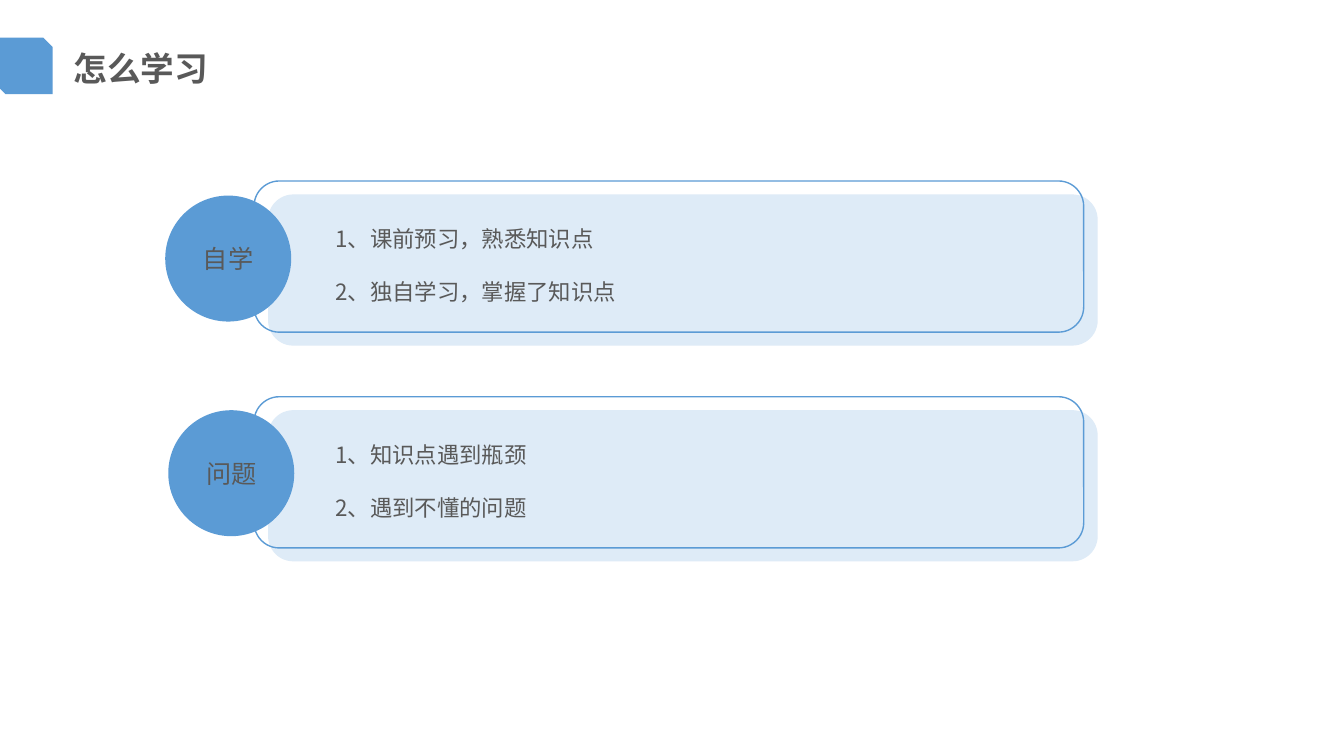
import pptx
import pptx.util
import pptx.dml.color
import pptx.enum.shapes
import pptx.enum.text
import pptx.oxml.ns
import lxml.etree

Pt = pptx.util.Pt
SHAPE = pptx.enum.shapes.MSO_SHAPE
ALIGN = pptx.enum.text.PP_ALIGN
ANCHOR = pptx.enum.text.MSO_ANCHOR

# Content
TITLE = "怎么学习"
CARDS = [
    {"label": "自学", "circle": (118, 139.7),
     "points": ["1、课前预习，熟悉知识点", "2、独自学习，掌握了知识点"]},
    {"label": "问题", "circle": (120.2, 293),
     "points": ["1、知识点遇到瓶颈", "2、遇到不懂的问题"]},
]

THEME = {
    "font": "Noto Sans CJK SC",
    "blue": "5B9BD5", "pale": "DEEBF7", "text": "595959",
    "title": 24, "label": 18, "body": 16,
}

# Layout
CARD_LEFT, CARD_TOP, CARD_STEP = 181.5, 129.3, 154.1
CARD_SIZE = (592.6, 108)
SHADE_SHIFT = (10, 9.6)
CIRCLE = 90
POINTS_LEFT, POINTS_DROP = 232.6, 26.2
POINTS_SIZE = (340.6, 91.4)


def color(name):
    return pptx.dml.color.RGBColor.from_string(THEME[name])


def add_shape(page, kind, left, top, width, height, fill=None, line=None):
    shape = page.shapes.add_shape(kind, Pt(left), Pt(top), Pt(width), Pt(height))
    shape.shadow.inherit = False
    if fill:
        shape.fill.solid()
        shape.fill.fore_color.rgb = color(fill)
    else:
        shape.fill.background()
    if line:
        shape.line.color.rgb = color(line)
        shape.line.width = Pt(1)
    else:
        shape.line.fill.background()
    return shape


def write(frame, lines, size, align, bold=False, spacing=None, gap=0):
    for index, line in enumerate(lines):
        para = frame.paragraphs[0] if index == 0 else frame.add_paragraph()
        para.alignment = align
        para.line_spacing = spacing
        para.space_before = Pt(gap if index else 0)
        span = para.add_run()
        span.text = line
        span.font.name = THEME["font"]
        span.font.size = Pt(THEME[size])
        span.font.bold = bold
        span.font.color.rgb = color("text")
        # East Asian glyphs need their own typeface entry
        east = lxml.etree.SubElement(span.font._element, pptx.oxml.ns.qn("a:ea"))
        east.set("typeface", THEME["font"])


def add_text(page, left, top, width, height, wrap):
    box = page.shapes.add_textbox(Pt(left), Pt(top), Pt(width), Pt(height))
    box.text_frame.word_wrap = wrap
    return box.text_frame


def add_card(page, card, top):
    width, height = CARD_SIZE
    add_shape(page, SHAPE.ROUNDED_RECTANGLE, CARD_LEFT + SHADE_SHIFT[0],
              top + SHADE_SHIFT[1], width, height, fill="pale")
    add_shape(page, SHAPE.ROUNDED_RECTANGLE, CARD_LEFT, top, width, height, line="blue")

    circle = add_shape(page, SHAPE.OVAL, *card["circle"], CIRCLE, CIRCLE, fill="blue")
    circle.text_frame.vertical_anchor = ANCHOR.MIDDLE
    write(circle.text_frame, [card["label"]], "label", ALIGN.CENTER)

    frame = add_text(page, POINTS_LEFT, top + POINTS_DROP, *POINTS_SIZE, wrap=True)
    write(frame, card["points"], "body", ALIGN.JUSTIFY, spacing=1.1, gap=16.6)


def main():
    deck = pptx.Presentation()
    deck.slide_width, deck.slide_height = Pt(960), Pt(540)
    page = deck.slides.add_slide(deck.slide_layouts[6])

    # Heading
    add_shape(page, SHAPE.SNIP_2_DIAG_RECTANGLE, -2.8, 26.8, 40.4, 40.4, fill="blue")
    frame = add_text(page, 45.4, 31, 111.6, 36, wrap=False)
    write(frame, [TITLE], "title", ALIGN.LEFT, bold=True)

    # Cards
    for index, card in enumerate(CARDS):
        add_card(page, card, CARD_TOP + index * CARD_STEP)

    deck.save("out.pptx")


if __name__ == "__main__":
    main()
